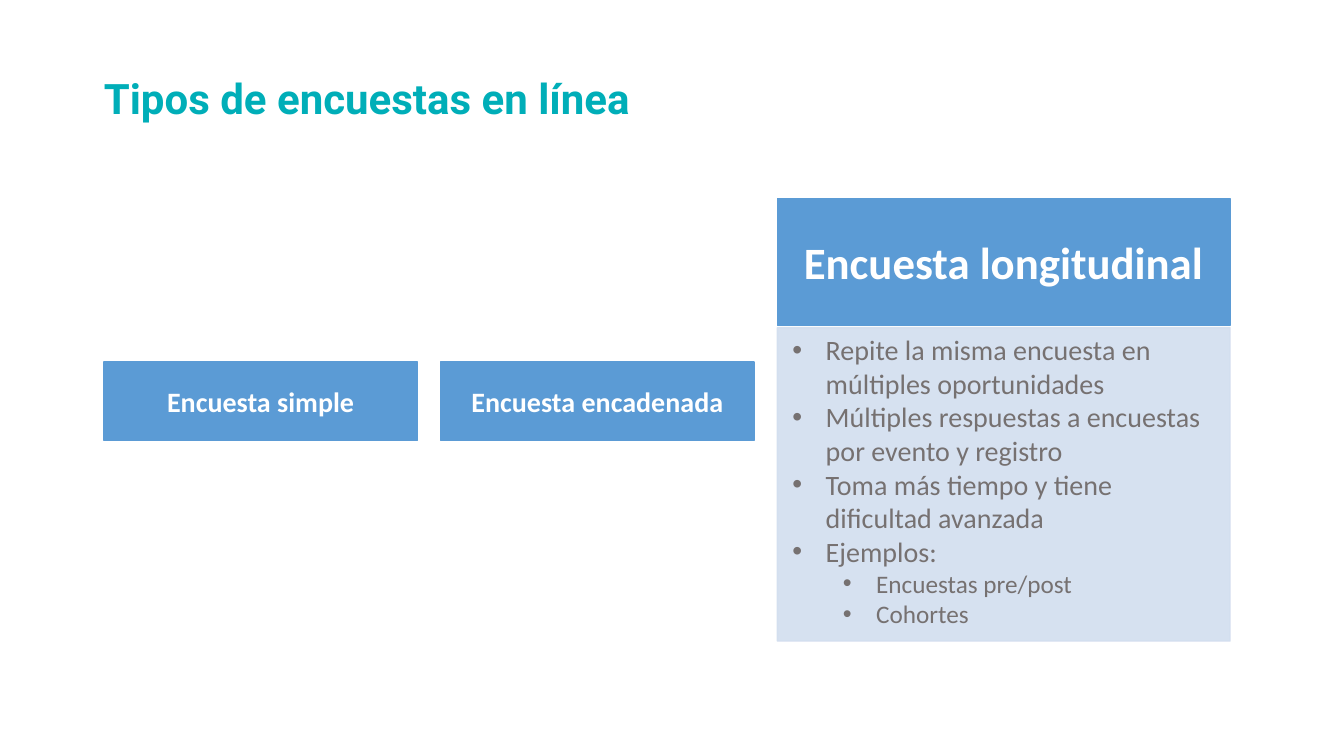
from dataclasses import dataclass

import lxml.etree
import pptx
import pptx.dml.color
import pptx.enum.shapes
import pptx.enum.text
import pptx.oxml.ns
import pptx.util

Inches = pptx.util.Inches
Align = pptx.enum.text.PP_ALIGN
Anchor = pptx.enum.text.MSO_ANCHOR
AutoSize = pptx.enum.text.MSO_AUTO_SIZE

# Grid in inches: three columns with one gap between them
MARGIN, COLUMN, GAP = 1.03, 3.11, 0.23
WIDE = 4.49
TEAL, BLUE, PALE, GREY, WHITE = "00AEB8", "5B9BD5", "D2DEEF", "767171", "FFFFFF"


@dataclass
class SurveyType:
    name: str
    column: int
    top: float
    width: float
    height: float
    size: int


@dataclass
class Feature:
    wording: str
    level: int = 0


SURVEY_TYPES = [
    SurveyType("Encuesta longitudinal", 2, 1.97, WIDE, 1.26, 32),
    SurveyType("Encuesta simple", 0, 3.59, COLUMN, 0.78, 20),
    SurveyType("Encuesta encadenada", 1, 3.59, COLUMN, 0.78, 20),
]
FEATURES = [
    Feature("Repite la misma encuesta en múltiples oportunidades"),
    Feature("Múltiples respuestas a encuestas por evento y registro"),
    Feature("Toma más tiempo y tiene dificultad avanzada"),
    Feature("Ejemplos:"),
    Feature("Encuestas pre/post", 1),
    Feature("Cohortes", 1),
]


def rgb(value: str) -> pptx.dml.color.RGBColor:
    return pptx.dml.color.RGBColor.from_string(value)


def column_left(column: int) -> float:
    return MARGIN + column * (COLUMN + GAP)


def apply(target, formats: dict) -> None:
    for name, value in formats.items():
        setattr(target, name, value)


def place(shape, left: float, top: float, width: float, height: float) -> None:
    apply(shape, {"left": Inches(left), "top": Inches(top),
                  "width": Inches(width), "height": Inches(height)})


def write(paragraph, wording: str, face: str, size: int, colour: str, bold: bool) -> None:
    run = paragraph.add_run()
    run.text = wording
    apply(run.font, {"name": face, "size": pptx.util.Pt(size), "bold": bold})
    run.font.color.rgb = rgb(colour)


def paint(shape, colour: str) -> None:
    shape.fill.solid()
    shape.fill.fore_color.rgb = rgb(colour)
    shape.line.color.rgb = rgb(colour)
    shape.line.width = pptx.util.Pt(1)


def add_heading(slide, survey: SurveyType) -> None:
    heading = slide.shapes.add_shape(
        pptx.enum.shapes.MSO_SHAPE.RECTANGLE, Inches(column_left(survey.column)),
        Inches(survey.top), Inches(survey.width), Inches(survey.height))
    heading.shadow.inherit = False
    paint(heading, BLUE)
    apply(heading.text_frame, {"word_wrap": True, "vertical_anchor": Anchor.MIDDLE})
    paragraph = heading.text_frame.paragraphs[0]
    paragraph.alignment = Align.CENTER
    write(paragraph, survey.name, "Calibri", survey.size, WHITE, True)


def add_feature(paragraph, feature: Feature) -> None:
    apply(paragraph, {"level": feature.level, "alignment": Align.LEFT,
                      "space_before": pptx.util.Pt(0)})
    properties = paragraph._p.get_or_add_pPr()
    properties.set("marL", str(Inches(0.38 + 0.5 * feature.level)))
    properties.set("indent", str(Inches(-0.33)))
    qn = pptx.oxml.ns.qn
    lxml.etree.SubElement(properties, qn("a:buChar"), char="•")
    tabs = lxml.etree.SubElement(properties, qn("a:tabLst"))
    lxml.etree.SubElement(tabs, qn("a:tab"), pos=str(Inches(3.69)), algn="l")
    write(paragraph, feature.wording, "Calibri", 20 - 2 * feature.level, GREY, False)


def fill_features(features) -> None:
    place(features, column_left(2), 3.25, WIDE, 3.11)
    paint(features, PALE)
    qn = pptx.oxml.ns.qn
    for colour in features._element.spPr.iter(qn("a:srgbClr")):
        lxml.etree.SubElement(colour, qn("a:alpha"), val="90000")
    frame = features.text_frame
    apply(frame, {"word_wrap": True, "auto_size": AutoSize.NONE,
                  "vertical_anchor": Anchor.TOP})
    for index, feature in enumerate(FEATURES):
        add_feature(frame.add_paragraph() if index else frame.paragraphs[0], feature)


def fill_title(title) -> None:
    place(title, 0.93, 0.67, 6.01, 0.61)
    apply(title.text_frame, {"word_wrap": False, "vertical_anchor": Anchor.TOP,
                             "auto_size": AutoSize.SHAPE_TO_FIT_TEXT})
    paragraph = title.text_frame.paragraphs[0]
    paragraph.alignment = Align.LEFT
    write(paragraph, "Tipos de encuestas en línea", "Roboto", 30, TEAL, True)


def main() -> None:
    deck = pptx.Presentation()
    apply(deck, {"slide_width": Inches(13.33), "slide_height": Inches(7.5)})
    slide = deck.slides.add_slide(deck.slide_layouts[1])

    # Title and the features of the longitudinal survey
    fill_title(slide.shapes.title)
    fill_features(slide.placeholders[1])

    # One heading for each type of survey
    for survey in SURVEY_TYPES:
        add_heading(slide, survey)

    deck.save("out.pptx")


if __name__ == "__main__":
    main()
